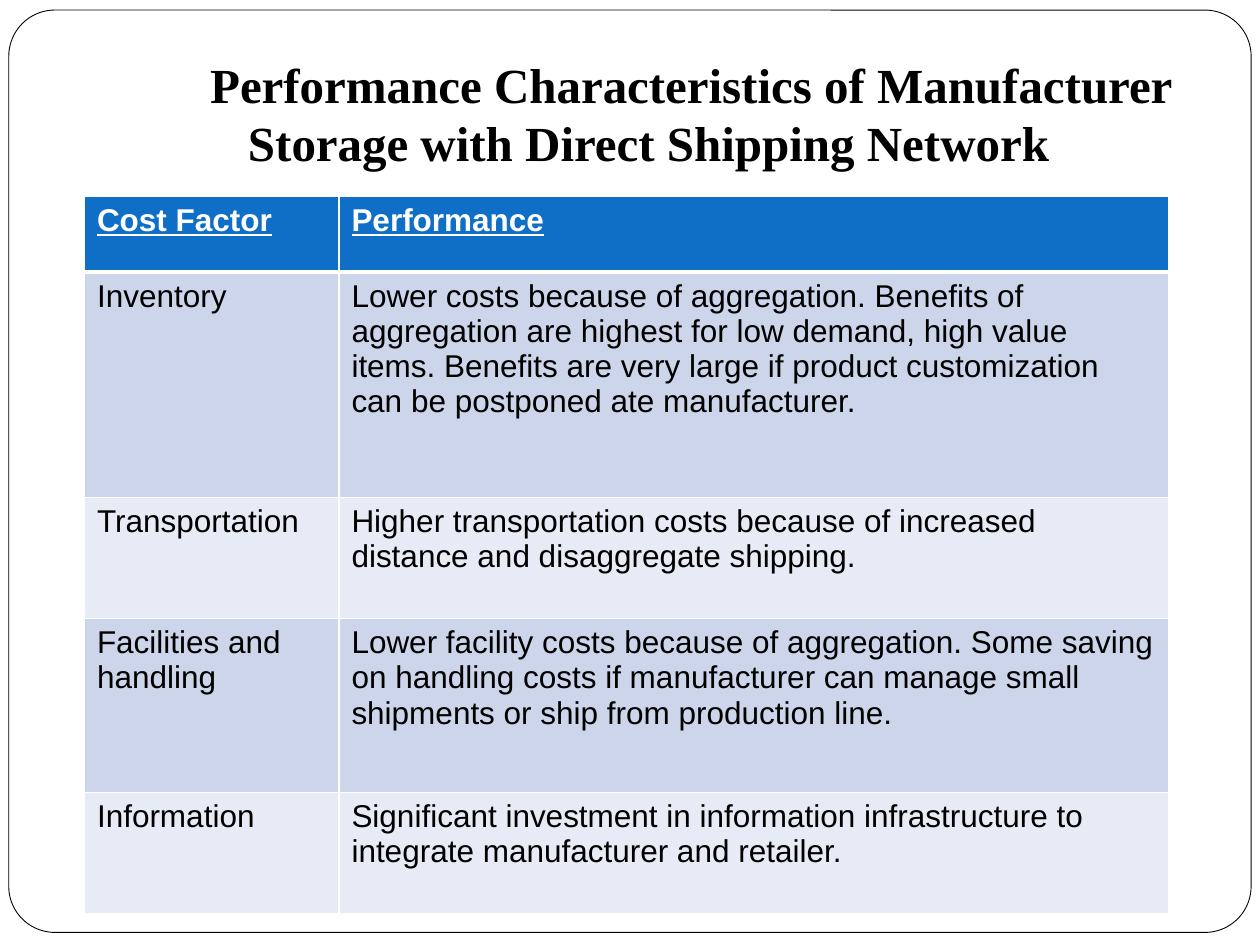
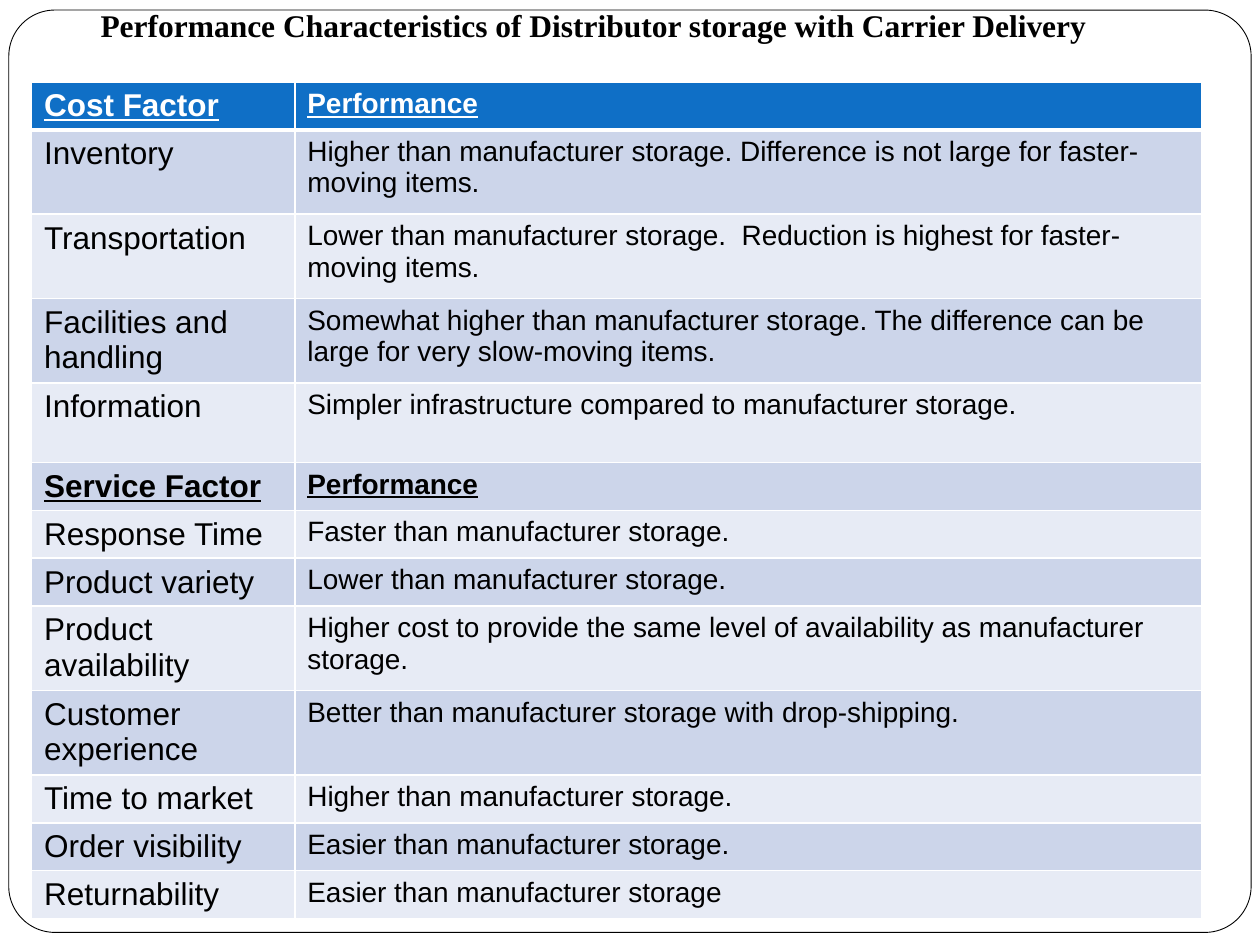
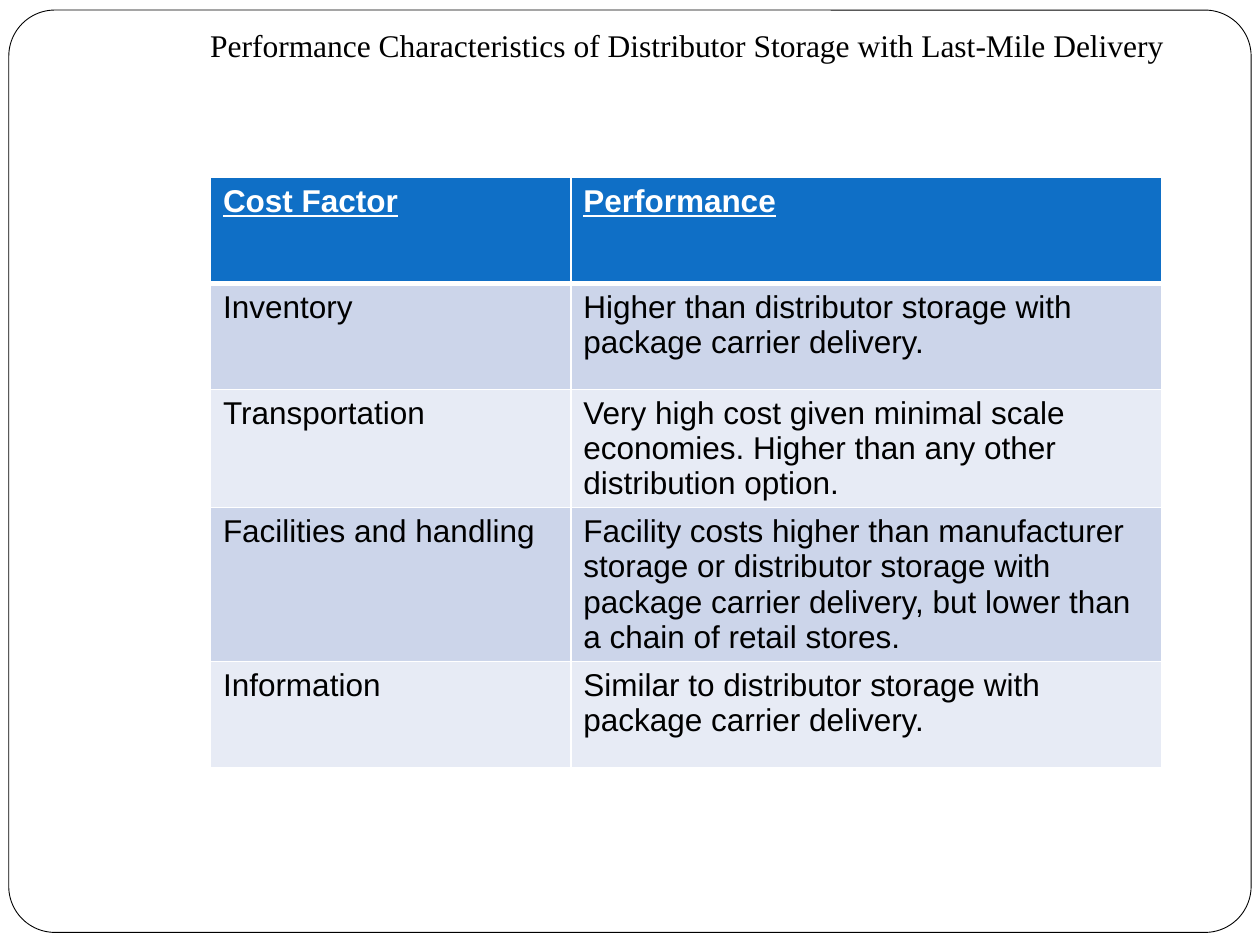
from lxml import etree
from pptx import Presentation
from pptx import util as u
from pptx.dml.color import RGBColor
from pptx.enum import shapes
from pptx.oxml import ns

BLACK = RGBColor(0x00, 0x00, 0x00)
WHITE = RGBColor(0xFF, 0xFF, 0xFF)
HEADER_BLUE = RGBColor(0x0F, 0x6F, 0xC6)
BANDS = [RGBColor(0xE7, 0xEB, 0xF5), RGBColor(0xCC, 0xD5, 0xEA)]
TITLE_FONT, TABLE_FONT = "Times New Roman", "Arial"
LINE_PITCH = 1.12  # table line height as a share of the text size
HEADINGS = ("Cost Factor", "Service Factor")

# title_box is left, top, width, height; table_at is left, top
PAGES = [
    dict(
        title="Performance Characteristics of Manufacturer Storage with Direct Shipping Network",
        title_box=(1.57, 0, 8.27, 6.83), title_inset=0.43, title_size=28, title_bold=True,
        table_at=(0.67, 1.56), columns=(2.02, 6.59), text_sizes=(18, 18),
        row_heights=(0.6, 1.79, 0.96, 1.38, 0.96),
        rows=[
            ("Cost Factor", "Performance"),
            ("Inventory", "Lower costs because of aggregation. Benefits of aggregation are highest "
             "for low demand, high value items. Benefits are very large if product customization "
             "can be postponed ate manufacturer."),
            ("Transportation", "Higher transportation costs because of increased distance and "
             "disaggregate shipping."),
            ("Facilities and handling", "Lower facility costs because of aggregation. Some saving "
             "on handling costs if manufacturer can manage small shipments or ship from "
             "production line."),
            ("Information", "Significant investment in information infrastructure to integrate "
             "manufacturer and retailer."),
        ]),
    dict(
        title="Performance Characteristics of Distributor storage with Carrier Delivery",
        title_box=(0.7, 0, 9.3, 7.5), title_inset=0.05, title_size=18, title_bold=True,
        table_at=(0.25, 0.65), columns=(2.09, 7.2), text_sizes=(18, 16),
        row_heights=(0.38, *[0.67] * 3, 0.63, *[0.38] * 3, *[0.67] * 2, *[0.38] * 3),
        rows=[
            ("Cost Factor", "Performance"),
            ("Inventory", "Higher than manufacturer storage. Difference is not large for "
             "faster-moving items."),
            ("Transportation", "Lower than manufacturer storage.  Reduction is highest for "
             "faster-moving items."),
            ("Facilities and handling", "Somewhat higher than manufacturer storage. The "
             "difference can be large for very slow-moving items."),
            ("Information", "Simpler infrastructure compared to manufacturer storage."),
            ("Service Factor", "Performance"),
            ("Response Time", "Faster than manufacturer storage."),
            ("Product variety", "Lower than manufacturer storage."),
            ("Product availability", "Higher cost to provide the same level of availability as "
             "manufacturer storage."),
            ("Customer experience", "Better than manufacturer storage with drop-shipping."),
            ("Time to market", "Higher than manufacturer storage."),
            ("Order visibility", "Easier than manufacturer storage."),
            ("Returnability", "Easier than manufacturer storage"),
        ]),
    dict(
        title="Performance Characteristics of Distributor Storage with Last-Mile Delivery",
        title_box=(1.57, 0.16, 8.2, 6.68), title_inset=0.05, title_size=18, title_bold=False,
        table_at=(1.67, 1.41), columns=(2.86, 4.69), text_sizes=(18, 18),
        row_heights=(0.84, 0.84, 0.94, 1.22, 0.84),
        rows=[
            ("Cost Factor", "Performance"),
            ("Inventory", "Higher than distributor storage with package carrier delivery."),
            ("Transportation", "Very high cost given minimal scale economies. Higher than any "
             "other distribution option."),
            ("Facilities and handling", "Facility costs higher than manufacturer storage or "
             "distributor storage with package carrier delivery, but lower than a chain of "
             "retail stores."),
            ("Information", "Similar to distributor storage with package carrier delivery."),
        ]),
]


def style_run(r, font, size, color, bold):
    r.font.name, r.font.size, r.font.bold = font, u.Pt(size), bold
    r.font.color.rgb = color


def add_borders(cell, top, bottom):
    """White cell borders; top and bottom are widths in points."""
    tc_pr = cell._tc.get_or_add_tcPr()
    for i, (side, width) in enumerate((("L", 1), ("R", 1), ("T", top), ("B", bottom))):
        ln = etree.Element(ns.qn(f"a:ln{side}"), w=str(u.Pt(width)))
        fill = etree.SubElement(ln, ns.qn("a:solidFill"))
        etree.SubElement(fill, ns.qn("a:srgbClr"), val=str(WHITE))
        tc_pr.insert(i, ln)


prs = Presentation()
prs.slide_width, prs.slide_height = u.Inches(10), u.Inches(7.5)

for page in PAGES:
    slide = prs.slides.add_slide(prs.slide_layouts[6])

    frame = slide.shapes.add_shape(shapes.MSO_SHAPE.ROUNDED_RECTANGLE,
                                   *map(u.Inches, (0.07, 0.08, 9.86, 7.32)))
    frame.adjustments[0] = 0.05
    frame.shadow.inherit = False
    frame.fill.solid()
    frame.fill.fore_color.rgb = WHITE
    frame.line.color.rgb = BLACK
    frame.line.width = u.Pt(0.5)

    tf = slide.shapes.add_textbox(*map(u.Inches, page["title_box"])).text_frame
    tf.word_wrap = True
    tf.margin_top = u.Inches(page["title_inset"])
    p = tf.paragraphs[0]
    p.text = page["title"]
    p_pr = p._p.get_or_add_pPr()
    p_pr.set("marL", str(u.Inches(0.3)))
    p_pr.set("indent", str(u.Inches(-0.3)))
    style_run(p.runs[0], TITLE_FONT, page["title_size"], BLACK, page["title_bold"])

    rows, columns, heights = page["rows"], page["columns"], page["row_heights"]
    size = sum(columns), sum(heights)
    table = slide.shapes.add_table(len(rows), len(columns),
                                   *map(u.Inches, page["table_at"] + size)).table
    for column, width in zip(table.columns, columns):
        column.width = u.Inches(width)
    for i, (row, height, texts) in enumerate(zip(table.rows, heights, rows)):
        row.height = u.Inches(height)
        heading = texts[0] in HEADINGS
        for cell, content, pt in zip(row.cells, texts, page["text_sizes"]):
            cell.fill.solid()
            cell.fill.fore_color.rgb = BANDS[i % 2] if i else HEADER_BLUE
            add_borders(cell, top=3 if i == 1 else 1, bottom=3 if i == 0 else 1)
            cell.text_frame.text = content
            p = cell.text_frame.paragraphs[0]
            p.line_spacing = u.Pt(pt * LINE_PITCH)
            r = p.runs[0]
            style_run(r, TABLE_FONT, pt, BLACK if i else WHITE, heading)
            r.font.underline = heading

prs.save("out.pptx")
